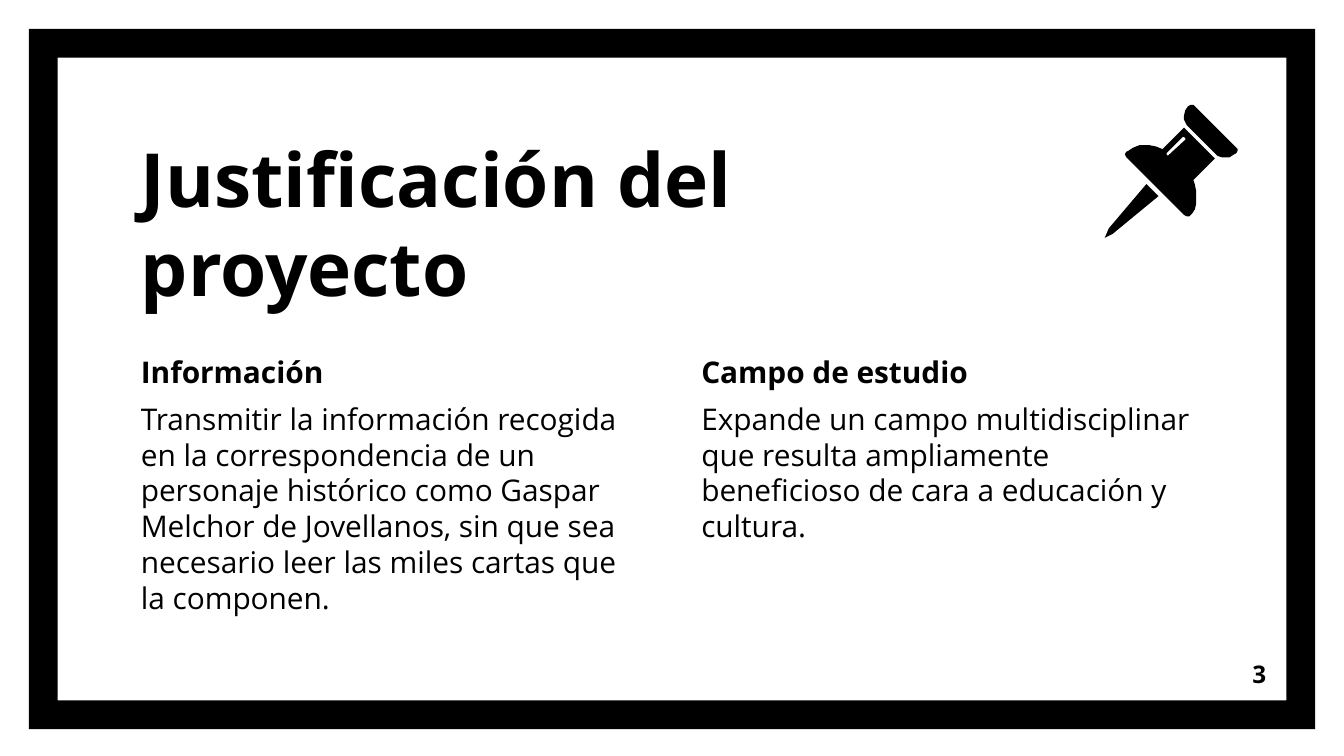
from pptx import Presentation
from pptx import util as u
from pptx.dml.color import RGBColor
from pptx.enum import shapes, text

BLACK = RGBColor(0, 0, 0)
WHITE = RGBColor(255, 255, 255)
FONT = "Open Sans"
CELL = u.Inches(0.1)
FINE_CELL = u.Inches(0.01)
COLUMNS, ROWS = 100, 56.25
LEFT_COLUMN, RIGHT_COLUMN = 9.5, 51.2

PIN_NEEDLE = [
    [(853, 137), (825, 170), (822, 177), (828, 174), (862, 146)],
]
PIN_HEAD = [
    [(886, 78), (884, 79), (882, 82), (881, 86), (881, 89), (883, 93),
     (906, 116), (909, 117), (915, 117), (918, 115), (920, 114),
     (921, 112), (921, 111), (920, 110), (889, 79), (888, 78)],
]
PIN_BODY = [
    [(881, 95), (865, 111), (860, 109), (855, 108), (848, 108), (843, 110),
     (840, 112), (838, 113), (837, 115), (838, 117), (881, 160), (883, 161),
     (885, 161), (887, 159), (889, 156), (890, 152), (890, 142), (889, 137),
     (888, 134), (904, 118)],
    [(881, 102), (882, 103), (882, 104), (870, 115), (869, 116),
     (868, 115), (868, 114), (880, 102)],
]


def cells(*counts):
    """Turn grid counts into lengths."""
    return [u.Emu(round(count * CELL)) for count in counts]


def paint(shape):
    """Give a shape a flat black fill without line or shadow."""
    shape.shadow.inherit = False
    shape.fill.solid()
    shape.fill.fore_color.rgb = BLACK
    shape.line.fill.background()


def add_frame(slide):
    """Draw the thick border around the slide."""
    frame = slide.shapes.add_shape(shapes.MSO_SHAPE.FRAME, *cells(2.15, 2.15, 95.7, 52.1))
    frame.adjustments[0] = 0.041
    paint(frame)


def add_outline(slide, contours):
    """Draw one filled outline from its closed contours."""
    first, *others = contours
    builder = slide.shapes.build_freeform(*first[0], scale=FINE_CELL)
    builder.add_line_segments(first[1:], close=True)
    for contour in others:
        builder.move_to(*contour[0])
        builder.add_line_segments(contour[1:], close=True)
    paint(builder.convert_to_shape())


def add_text(slide, box, lines, size, anchor=text.MSO_ANCHOR.TOP,
             align=text.PP_ALIGN.LEFT, before=0):
    """Add a text box whose first line is bold."""
    frame = slide.shapes.add_textbox(*cells(*box)).text_frame
    frame.word_wrap = True
    frame.vertical_anchor = anchor
    frame.margin_left = frame.margin_right = CELL
    frame.margin_top = frame.margin_bottom = CELL
    frame.text = "\n".join(lines)
    for index, paragraph in enumerate(frame.paragraphs):
        paragraph.alignment = align
        paragraph.line_spacing = 1.0
        paragraph.space_before = u.Pt(before)
        for run in paragraph.runs:
            run.font.name = FONT
            run.font.size = u.Pt(size)
            run.font.bold = index == 0
            run.font.color.rgb = BLACK


def add_column(slide, left, heading, body):
    """Add a heading with its body text."""
    add_text(slide, (left, 25.3, 39.3, 23.3), [heading, body], 16, before=6)


def main():
    """Build and save the slide."""
    presentation = Presentation()
    presentation.slide_width, presentation.slide_height = cells(COLUMNS, ROWS)
    slide = presentation.slides.add_slide(presentation.slide_layouts[6])
    slide.background.fill.solid()
    slide.background.fill.fore_color.rgb = WHITE
    add_frame(slide)
    add_column(slide, LEFT_COLUMN, "Información",
               "Transmitir la información recogida en la correspondencia de un "
               "personaje histórico como Gaspar Melchor de Jovellanos, sin que sea "
               "necesario leer las miles cartas que la componen.")
    add_text(slide, (LEFT_COLUMN, 9.3, 55.7, 14.9), ["Justificación del proyecto"], 40,
             anchor=text.MSO_ANCHOR.BOTTOM)
    add_column(slide, RIGHT_COLUMN, "Campo de estudio",
               "Expande un campo multidisciplinar que resulta ampliamente "
               "beneficioso de cara a educación y cultura.")
    for contours in (PIN_NEEDLE, PIN_HEAD, PIN_BODY):
        add_outline(slide, contours)
    add_text(slide, (89.2, 48, 6, 4.3), ["3"], 13,
             anchor=text.MSO_ANCHOR.MIDDLE, align=text.PP_ALIGN.RIGHT)
    presentation.save("out.pptx")


if __name__ == "__main__":
    main()
